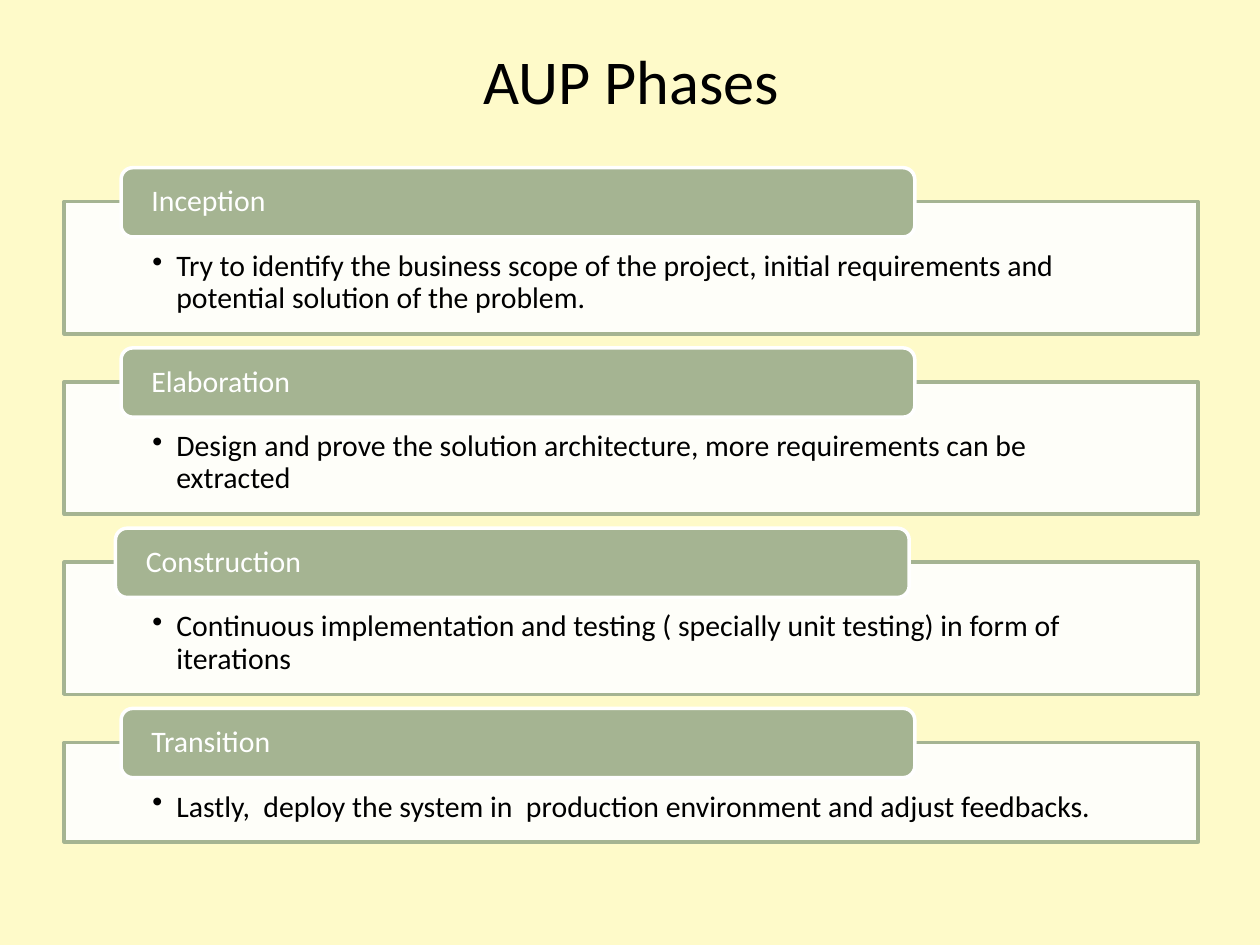
from dataclasses import dataclass

from lxml.etree import SubElement
from pptx import Presentation
from pptx.dml.color import RGBColor
from pptx.enum.shapes import MSO_SHAPE
from pptx.enum.text import MSO_ANCHOR, PP_ALIGN
from pptx.oxml.ns import qn
from pptx.shapes.autoshape import Shape
from pptx.slide import Slide
from pptx.text.text import TextFrame
from pptx.util import Pt

COLOURS = {"page": "FEFAC9", "sage": "A5B492", "white": "FFFFFF", "black": "000000"}
LEFT, WIDTH = 36.7, 648
FIRST_TOP, PITCH = 115.2, 103
HEADING_RISE, HEADING_WIDTH, HEADING_HEIGHT = 19.4, 453.6, 39.6
BODY_SIZE, TITLE_SIZE = 17, 35.6
BULLET_INDENT = 13.7


@dataclass
class Phase:
    name: str
    description: str
    heading_left: float = 69.2
    height: float = 75.6


PHASES = [
    Phase("Inception", "Try to identify the business scope of the project, "
          "initial requirements and potential solution of the problem."),
    Phase("Elaboration", "Design and prove the solution architecture, "
          "more requirements can be extracted"),
    Phase("Construction", "Continuous implementation and testing "
          "( specially unit testing) in form of iterations", heading_left=66),
    Phase("Transition", "Lastly,  deploy the system in  production environment "
          "and adjust feedbacks.", height=56.9),
]


def colour(name: str) -> RGBColor:
    return RGBColor.from_string(COLOURS[name])


def write(frame: TextFrame, text: str, size: float, ink: str, anchor: MSO_ANCHOR,
          align: PP_ALIGN, insets: tuple[float, float, float, float],
          line_spacing: float = 1.0) -> None:
    frame.word_wrap = True
    frame.vertical_anchor = anchor
    frame.margin_left, frame.margin_top, frame.margin_right, frame.margin_bottom = map(Pt, insets)
    frame.text = text
    paragraph = frame.paragraphs[0]
    paragraph.alignment = align
    paragraph.line_spacing = line_spacing
    font = paragraph.runs[0].font
    font.name, font.size = "Calibri", Pt(size)
    font.color.rgb = colour(ink)


def add_bullet(frame: TextFrame) -> None:
    paragraph = frame.paragraphs[0]
    paragraph.level = 1
    properties = paragraph._p.get_or_add_pPr()
    properties.set("marL", str(Pt(BULLET_INDENT)))
    properties.set("indent", str(-Pt(BULLET_INDENT)))
    bullet_colour = SubElement(properties, qn("a:buClr"))
    SubElement(bullet_colour, qn("a:srgbClr"), val=COLOURS["black"])
    SubElement(properties, qn("a:buChar"), char="•")


def add_block(slide: Slide, kind: MSO_SHAPE, left: float, top: float, width: float,
              height: float, fill: str, line: str) -> Shape:
    block = slide.shapes.add_shape(kind, Pt(left), Pt(top), Pt(width), Pt(height))
    block.shadow.inherit = False
    block.fill.solid()
    block.fill.fore_color.rgb = colour(fill)
    block.line.color.rgb = colour(line)
    block.line.width = Pt(2)
    return block


def add_title(slide: Slide, text: str) -> None:
    title = slide.shapes.add_textbox(Pt(LEFT), Pt(20.9), Pt(WIDTH), Pt(49.7))
    write(title.text_frame, text, TITLE_SIZE, "black", MSO_ANCHOR.MIDDLE,
          PP_ALIGN.CENTER, (7.2, 3.6, 7.2, 3.6))


def add_description(slide: Slide, phase: Phase, top: float) -> None:
    panel = add_block(slide, MSO_SHAPE.RECTANGLE, LEFT, top, WIDTH, phase.height, "white", "sage")
    panel_fill = panel._element.spPr.find(qn("a:solidFill")).find(qn("a:srgbClr"))
    SubElement(panel_fill, qn("a:alpha"), val="90000")
    write(panel.text_frame, phase.description, BODY_SIZE, "black", MSO_ANCHOR.TOP,
          PP_ALIGN.LEFT, (50.4, 28.1, 50.4, 9.4), line_spacing=0.9)
    add_bullet(panel.text_frame)


def add_heading(slide: Slide, phase: Phase, top: float) -> None:
    heading = add_block(slide, MSO_SHAPE.ROUNDED_RECTANGLE, phase.heading_left,
                        top - HEADING_RISE, HEADING_WIDTH, HEADING_HEIGHT, "sage", "white")
    heading.adjustments[0] = 0.17
    write(heading.text_frame, phase.name, BODY_SIZE, "white", MSO_ANCHOR.MIDDLE,
          PP_ALIGN.LEFT, (15.4, 0, 15.4, 0), line_spacing=0.9)


def main() -> None:
    """Build the AUP phases slide and save it."""
    deck = Presentation()
    deck.slide_width, deck.slide_height = Pt(720), Pt(540)
    slide = deck.slides.add_slide(deck.slide_layouts[6])
    slide.background.fill.solid()
    slide.background.fill.fore_color.rgb = colour("page")
    add_title(slide, "AUP Phases")
    for index, phase in enumerate(PHASES):
        top = FIRST_TOP + index * PITCH
        add_description(slide, phase, top)
        add_heading(slide, phase, top)
    deck.save("out.pptx")


if __name__ == "__main__":
    main()
